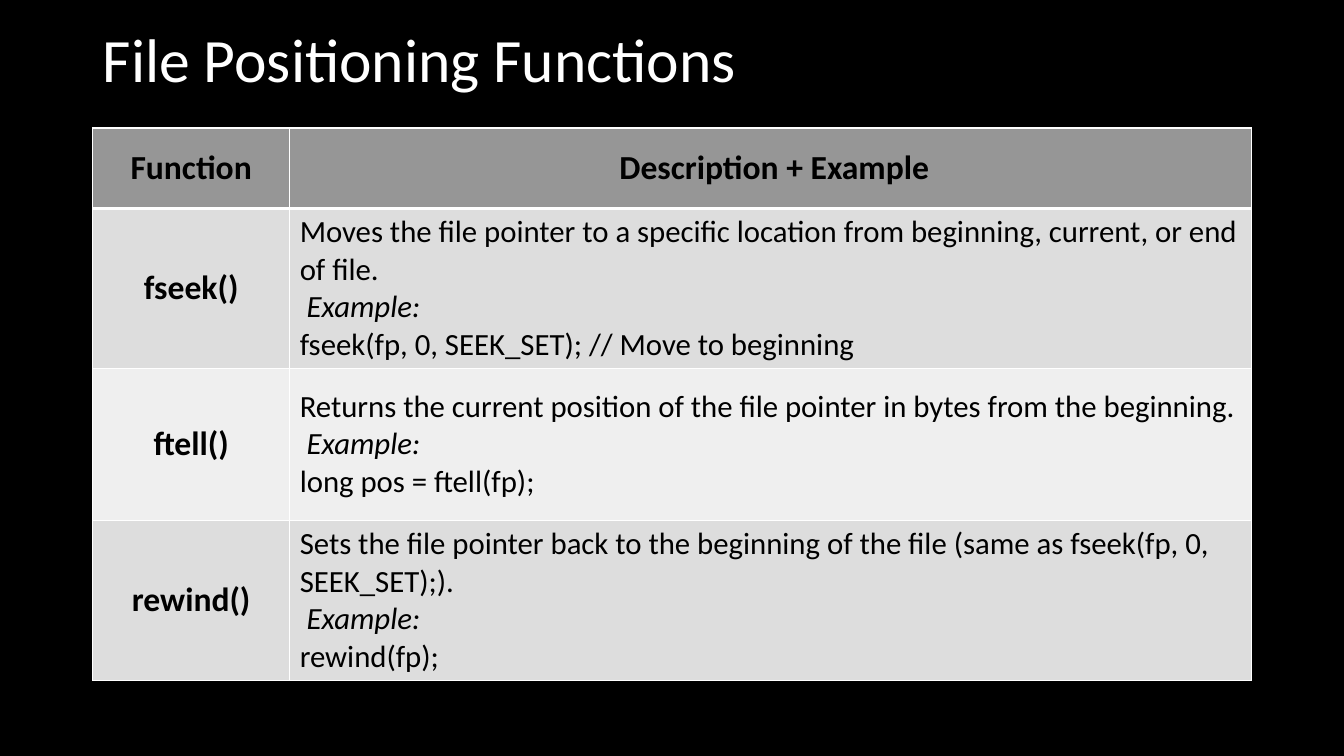
from lxml.etree import SubElement
from pptx import Presentation
from pptx.dml.color import RGBColor
from pptx.enum.text import MSO_ANCHOR as Anchor, MSO_AUTO_SIZE as AutoSize, PP_ALIGN as Align
from pptx.oxml.ns import qn
from pptx.util import Inches, Pt

COLORS = {"background": "000000", "title": "FFFFFF", "ink": "000000", "rule": "FFFFFF",
          "header": "969696", "odd": "DDDDDD", "even": "EFEFEF"}
LABEL = {"size": Pt(24), "bold": True}
BODY = {"size": Pt(22), "bold": False, "italic": False}
EXAMPLE = {**BODY, "italic": True}
HEADINGS = ("Function", " Description + Example")
FUNCTIONS = [
    ("fseek()",
     "Moves the file pointer to a specific location from beginning, current, or end of file.",
     "fseek(fp, 0, SEEK_SET); // Move to beginning"),
    ("ftell()",
     "Returns the current position of the file pointer in bytes from the beginning.",
     "long pos = ftell(fp);"),
    ("rewind()",
     "Sets the file pointer back to the beginning of the file (same as fseek(fp, 0, SEEK_SET);).",
     "rewind(fp);"),
]


def rgb(name):
    return RGBColor.from_string(COLORS[name])


def write(paragraph, words, style, color="ink"):
    run = paragraph.add_run()
    run.text = words
    for key, value in {"name": "Calibri", **style}.items():
        setattr(run.font, key, value)
    run.font.color.rgb = rgb(color)


def rule_cell(cell, widths):
    properties = cell._tc.get_or_add_tcPr()
    for side, width in widths.items():
        line = SubElement(properties, qn(f"a:ln{side}"), w=str(Pt(width)))
        fill = SubElement(line, qn("a:solidFill"))
        SubElement(fill, qn("a:srgbClr"), val=COLORS["rule"])


def prepare_cell(cell, color, align, top=1, bottom=1):
    rule_cell(cell, {"L": 1, "R": 1, "T": top, "B": bottom})
    cell.fill.solid()
    cell.fill.fore_color.rgb = rgb(color)
    cell.vertical_anchor = Anchor.MIDDLE
    paragraph = cell.text_frame.paragraphs[0]
    paragraph.alignment = align
    return paragraph


def describe(paragraph, description, example):
    write(paragraph, description, BODY)
    paragraph.add_line_break()
    write(paragraph, " ", BODY)
    write(paragraph, "Example:", EXAMPLE)
    paragraph.add_line_break()
    write(paragraph, example, BODY)


def place(shape, box):
    for key, value in zip(("left", "top", "width", "height"), box):
        setattr(shape, key, value)


def add_title(slide, box):
    title = slide.shapes.title
    place(title, box)
    frame = title.text_frame
    for key, value in {"word_wrap": True, "auto_size": AutoSize.NONE,
                       "vertical_anchor": Anchor.MIDDLE}.items():
        setattr(frame, key, value)
    heading = frame.paragraphs[0]
    heading.alignment = Align.LEFT
    heading.line_spacing = 0.9
    write(heading, "File Positioning Functions", {"size": Pt(44)}, "title")


def add_function_table(slide, box):
    left, top, width, height = box
    table = slide.shapes.add_table(len(FUNCTIONS) + 1, 2, left, top, width, height).table
    table.horz_banding = False
    table.columns[0].width = round(width * 0.17)
    table.columns[1].width = width - table.columns[0].width
    header_height = round(height * 0.15)
    for index, row in enumerate(table.rows):
        row.height = (height - header_height) // len(FUNCTIONS) if index else header_height

    for column, heading in enumerate(HEADINGS):
        write(prepare_cell(table.cell(0, column), "header", Align.CENTER, bottom=3),
              heading, LABEL)
    for index, (function, description, example) in enumerate(FUNCTIONS, 1):
        color = "odd" if index % 2 else "even"
        top_rule = 3 if index == 1 else 1
        write(prepare_cell(table.cell(index, 0), color, Align.CENTER, top_rule),
              function, LABEL)
        describe(prepare_cell(table.cell(index, 1), color, Align.LEFT, top_rule),
                 description, example)


def main():
    deck = Presentation()
    deck.slide_width, deck.slide_height = Inches(13.33), Inches(7.5)
    slide = deck.slides.add_slide(deck.slide_layouts[5])
    slide.background.fill.solid()
    slide.background.fill.fore_color.rgb = rgb("background")
    margin = Inches(0.92)
    content_width = deck.slide_width - 2 * margin
    add_title(slide, (margin, Inches(0.12), content_width, Inches(1)))
    add_function_table(slide, (margin, Inches(1.27), content_width, Inches(5.32)))
    deck.save("out.pptx")


if __name__ == "__main__":
    main()
